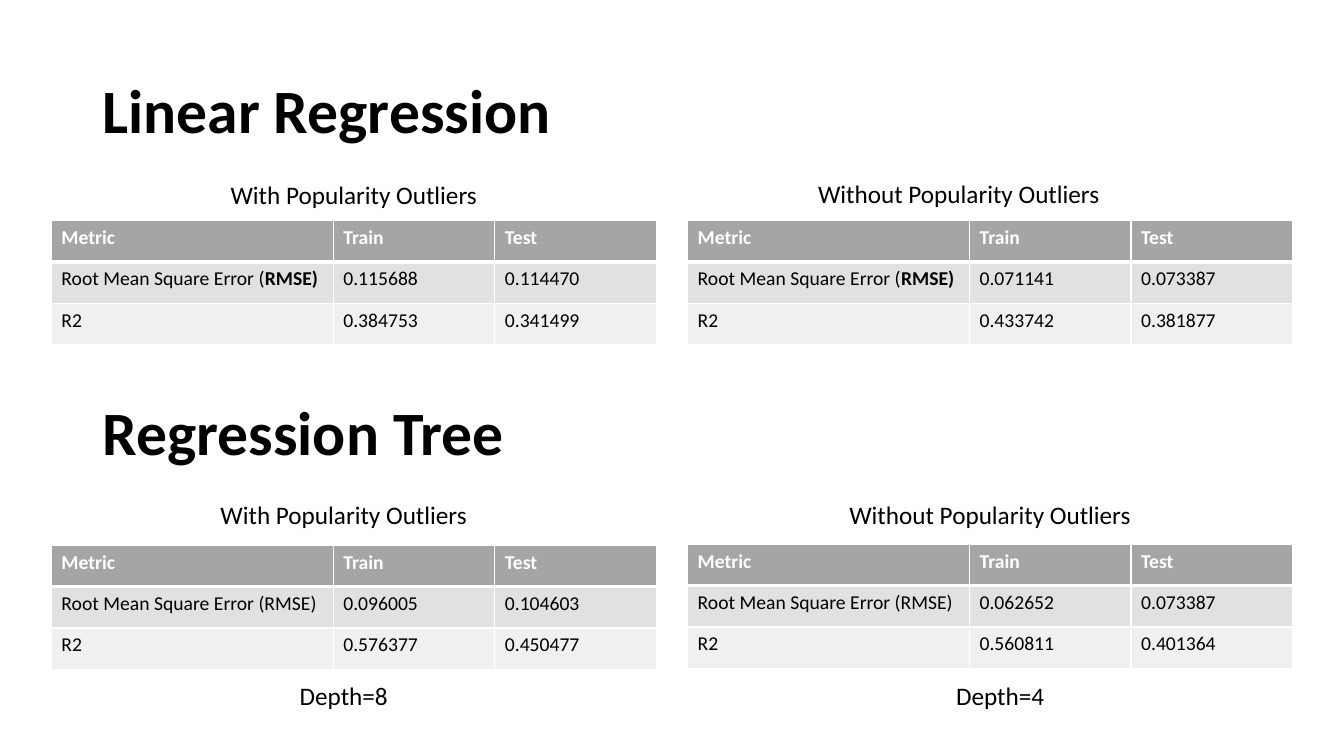
from lxml import etree
from pptx import Presentation
from pptx.dml.color import RGBColor
from pptx.enum.text import MSO_ANCHOR, PP_ALIGN
from pptx.oxml.ns import qn
from pptx.util import Inches, Pt

SLIDE_W, SLIDE_H = 13.33, 7.5
MARGIN, COLUMN_STEP, TABLE_W = 0.51, 6.31, 6.0
COLUMN_SHARES = (0.466, 0.267, 0.267)
ROW_H = 0.41
TITLE_LEFT, TITLE_W, TITLE_H = 0.92, 11.5, 1.45
CAPTION_H = 0.4

BLACK = RGBColor(0x00, 0x00, 0x00)
WHITE = RGBColor(0xFF, 0xFF, 0xFF)
ROW_FILLS = (
    RGBColor(0xA5, 0xA5, 0xA5),
    RGBColor(0xE1, 0xE1, 0xE1),
    RGBColor(0xF0, 0xF0, 0xF0),
)
FONT = "Calibri"
LEFT, CENTER = PP_ALIGN.LEFT, PP_ALIGN.CENTER
TOP, MIDDLE = MSO_ANCHOR.TOP, MSO_ANCHOR.MIDDLE

HEADER = ("Metric", "Train", "Test")
RMSE_BOLD = (("Root Mean Square Error (", False), ("RMSE)", True))
RMSE_PLAIN = "Root Mean Square Error (RMSE)"


def write_text(frame, content, size=18, color=BLACK, bold=False, align=LEFT,
               anchor=TOP, line_spacing=None):
    """Write a string, or (text, bold) pairs, into a text frame."""
    frame.word_wrap = True
    frame.vertical_anchor = anchor
    paragraph = frame.paragraphs[0]
    paragraph.alignment = align
    paragraph.line_spacing = line_spacing
    pieces = ((content, bold),) if isinstance(content, str) else content
    for words, is_bold in pieces:
        run = paragraph.add_run()
        run.text = words
        run.font.name = FONT
        run.font.size = Pt(size)
        run.font.bold = is_bold
        run.font.color.rgb = color


def add_text(slide, left, top, width, height, content, **style):
    box = slide.shapes.add_textbox(*map(Inches, (left, top, width, height)))
    write_text(box.text_frame, content, **style)


def add_caption(slide, left, top, content):
    add_text(slide, left, top, TABLE_W, CAPTION_H, content, align=CENTER)


def set_borders(cell, **widths):
    """Draw white cell edges; the keywords L, R, T and B override 1 pt."""
    properties = cell._tc.get_or_add_tcPr()
    for side in "LRTB":
        line = etree.SubElement(properties, qn(f"a:ln{side}"),
                                w=str(Pt(widths.get(side, 1))))
        fill = etree.SubElement(line, qn("a:solidFill"))
        etree.SubElement(fill, qn("a:srgbClr"), val=str(WHITE))


def add_metrics_table(slide, left, top, rmse_label, scores):
    rmse, r2 = scores
    rows = (HEADER, (rmse_label, *rmse), ("R2", *r2))
    table = slide.shapes.add_table(
        len(rows), len(HEADER), Inches(left), Inches(top),
        Inches(TABLE_W), Inches(ROW_H * len(rows))).table
    for column, share in zip(table.columns, COLUMN_SHARES):
        column.width = Inches(TABLE_W * share)
    edges = ({"B": 3}, {"T": 3}, {})
    for r, row in enumerate(rows):
        table.rows[r].height = Inches(ROW_H)
        for c, content in enumerate(row):
            cell = table.cell(r, c)
            set_borders(cell, **edges[r])
            cell.fill.solid()
            cell.fill.fore_color.rgb = ROW_FILLS[r]
            write_text(cell.text_frame, content, size=14, bold=r == 0,
                       color=WHITE if r == 0 else BLACK)


def add_model_section(slide, top, title, rmse_label, results):
    """Place a title with one captioned table per result.

    Each result holds a caption, its (shift, drop) from the column and
    section top, the drop of the table, and the scores.
    """
    add_text(slide, TITLE_LEFT, top, TITLE_W, TITLE_H, title, size=44,
             bold=True, anchor=MIDDLE, line_spacing=0.9)
    for i, (caption, (shift, drop), table_drop, scores) in enumerate(results):
        left = MARGIN + i * COLUMN_STEP
        add_caption(slide, left + shift, top + drop, caption)
        add_metrics_table(slide, left, top + table_drop, rmse_label, scores)


def add_depths(slide, top, depths):
    for i, (depth, shift) in enumerate(depths):
        add_caption(slide, MARGIN + i * COLUMN_STEP + shift, top, depth)


def main():
    deck = Presentation()
    deck.slide_width, deck.slide_height = Inches(SLIDE_W), Inches(SLIDE_H)
    slide = deck.slides.add_slide(deck.slide_layouts[6])
    add_model_section(slide, 0.4, "Linear Regression", RMSE_BOLD, (
        ("With Popularity Outliers", (0, 1.33), 1.79,
         (("0.115688", "0.114470"), ("0.384753", "0.341499"))),
        ("Without Popularity Outliers", (-0.31, 1.32), 1.79,
         (("0.071141", "0.073387"), ("0.433742", "0.381877"))),
    ))
    add_model_section(slide, 3.6, "Regression Tree", RMSE_PLAIN, (
        ("With Popularity Outliers", (-0.1, 1.3), 1.81,
         (("0.096005", "0.104603"), ("0.576377", "0.450477"))),
        ("Without Popularity Outliers", (0, 1.3), 1.8,
         (("0.062652", "0.073387"), ("0.560811", "0.401364"))),
    ))
    add_depths(slide, 6.7, (("Depth=8", -0.1), ("Depth=4", 0.1)))
    deck.save("out.pptx")


if __name__ == "__main__":
    main()
